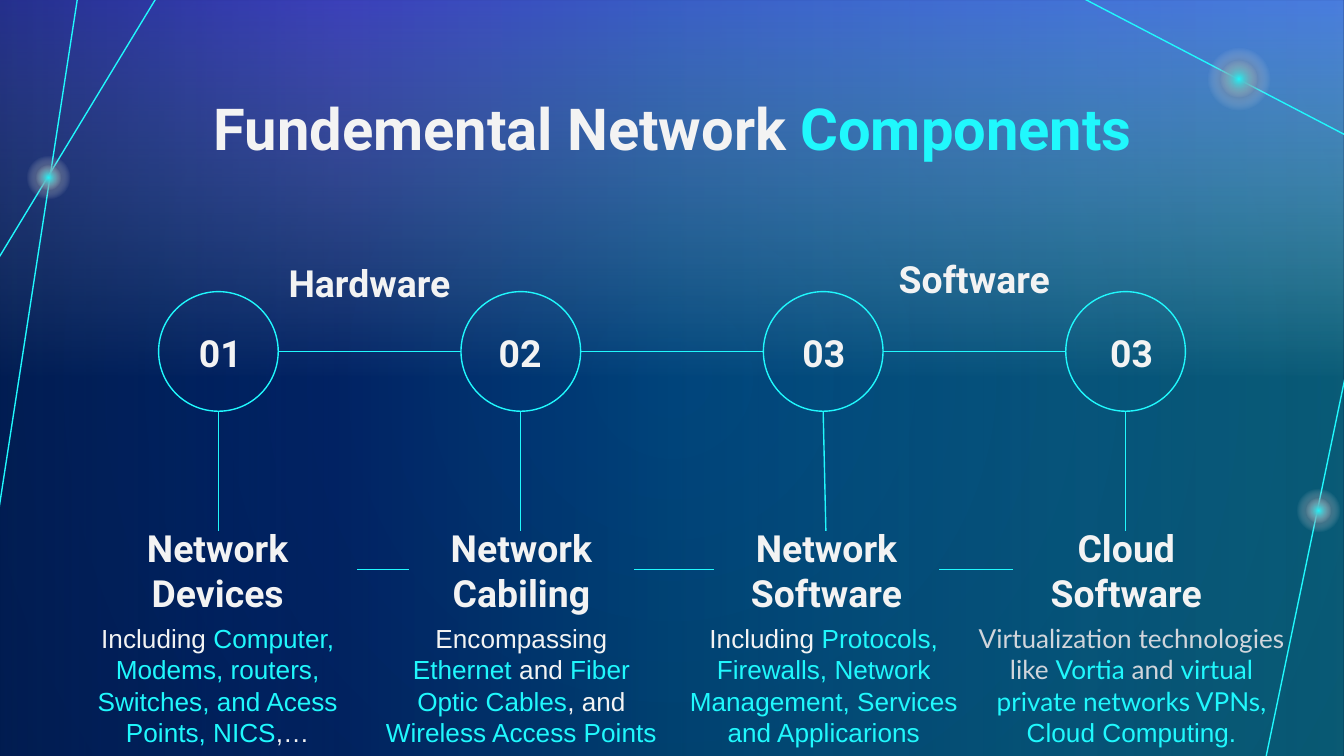
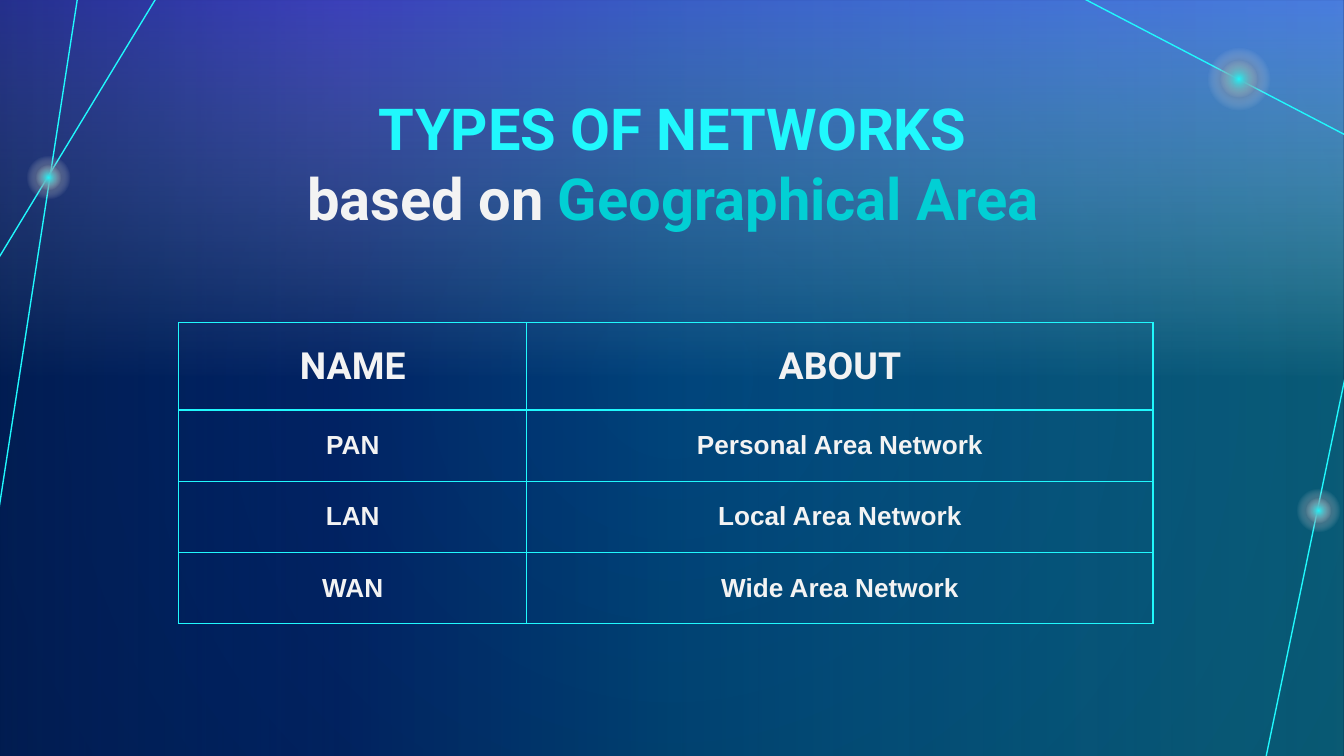
"""Build two slides on network components and network types."""
import pptx
import pptx.dml.color
import pptx.enum.shapes
import pptx.enum.text
import pptx.oxml
import pptx.oxml.ns
import pptx.util
from pptx.util import Inches

CYAN, WHITE, TEAL, GREY = "20F8FD", "F3F3F3", "02CFD4", "D1D5DB"
NAVY, DEEP = "012060", "00183A"
WIDTH = 10
HEIGHT = WIDTH * 9 / 16
LINE_WIDTH = 0.75
SHAPE = pptx.enum.shapes.MSO_SHAPE
TOP, MIDDLE = pptx.enum.text.MSO_ANCHOR.TOP, pptx.enum.text.MSO_ANCHOR.MIDDLE
CENTER = pptx.enum.text.PP_ALIGN.CENTER

TITLE = {"name": "Roboto", "size": pptx.util.Pt(31), "bold": True}
HEADING = {"name": "Roboto", "size": pptx.util.Pt(20), "bold": True}
BODY = {"name": "Arial", "size": pptx.util.Pt(14), "bold": False}
LATO_BODY = {**BODY, "name": "Lato"}
TABLE_BODY = {**BODY, "bold": True}
MARGINS = {f"margin_{side}": Inches(0.1) for side in ("left", "right", "top", "bottom")}

BACKDROP = [(0, NAVY, 100), (100, DEEP, 100)]
WASHES = [
    (270, [(0, "748BFF", 0), (50, WHITE, 0), (100, "7659FF", 77)]),
    (180, [(0, CYAN, 29), (50, "0182AA", 36), (75, "022E88", 35), (100, NAVY, 60)]),
]
RAYS = [
    (7.93, -0.08, 10.04, 1.02),
    (1.19, -0.06, -0.01, 1.92),
    (0.59, -0.1, -0.01, 3.8),
    (9.41, 5.68, 10.01, 2.8),
]
STARS = [(0.36, 1.32, 0.46, 0.27), (9.22, 0.59, 0.66, 0.39), (9.81, 3.8, 0.46, 0.27)]

COMPONENTS_TITLE = [("Fundemental Network ", WHITE), ("Components", CYAN)]
COMPONENTS = [
    {"number": "01", "number_left": 0.82, "name": "Network Devices", "stem_lean": 0,
     "name_box": (0.58, 2.08), "about_box": (0.58, 2.08),
     "about": [[("Including ", WHITE, BODY),
                ("Computer, Modems, routers, Switches, and Acess Points, NICS", CYAN, BODY),
                (",…", WHITE, BODY)]]},
    {"number": "02", "number_left": 3.05, "name": "Network Cabiling", "stem_lean": 0,
     "name_box": (3.04, 1.68), "about_box": (2.75, 2.26),
     "about": [[("Encompassing ", WHITE, BODY), ("Ethernet", CYAN, BODY),
                (" and ", WHITE, BODY), ("Fiber Optic Cables", CYAN, BODY),
                (", and ", WHITE, BODY), ("Wireless Access Points", CYAN, BODY)]]},
    {"number": "03", "number_left": 5.31, "name": "Network Software", "stem_lean": 0.02,
     "name_box": (5.31, 1.68), "about_box": (5.01, 2.24),
     "about": [[("Including ", WHITE, BODY),
                ("Protocols, Firewalls, Network Management, Services and Applicarions",
                 CYAN, BODY)]]},
    {"number": "03", "number_left": 7.6, "name": "Cloud Software", "stem_lean": 0,
     "name_box": (7.54, 1.68), "about_box": (7.17, 2.5),
     "about": [[("Virtualization technologies like ", GREY, LATO_BODY),
                ("Vortia", CYAN, LATO_BODY), (" and ", GREY, LATO_BODY),
                ("virtual private networks VPNs,", CYAN, LATO_BODY)],
               [("Cloud Computing.", CYAN, BODY)]]},
]
FAMILIES = [("Hardware", (1.95, 1.81, 1.6, 0.58)), ("Software", (6.46, 1.81, 1.58, 0.52))]
CIRCLE_LEFT, CIRCLE_TOP, CIRCLE_SIZE, CIRCLE_STEP = 1.18, 2.17, 0.89, 2.25
NAME_TOP, NAME_HEIGHT, ABOUT_HEIGHT = 3.95, 0.58, 0.95

TYPES_TITLE = [("TYPES OF NETWORKS", CYAN), ("\n", CYAN),
               ("based on ", WHITE), ("Geographical Area", TEAL)]
TYPES = [
    ("NAME", "ABOUT"),
    ("PAN", "Personal Area Network"),
    ("LAN", "Local Area Network"),
    ("WAN", "Wide Area Network"),
]
TYPES_LEFT, TYPES_TOP = 1.33, 2.4
TYPES_COLUMNS, TYPES_ROWS = (2.59, 4.66), (0.65, 0.53, 0.53, 0.53)


def rgb(value):
    return pptx.dml.color.RGBColor.from_string(value)


def assign(target, values):
    for key, value in values.items():
        setattr(target, key, value)


def set_gradient(fill, properties, stops, angle=None):
    fill.solid()
    marks = "".join(
        f'<a:gs pos="{at * 1000}"><a:srgbClr val="{color}">'
        f'<a:alpha val="{opacity * 1000}"/></a:srgbClr></a:gs>'
        for at, color, opacity in stops)
    if angle is None:
        course = ('<a:path path="circle"><a:fillToRect l="50000" t="50000" '
                  'r="50000" b="50000"/></a:path>')
    else:
        course = f'<a:lin ang="{angle * 60000}" scaled="0"/>'
    gradient = pptx.oxml.parse_xml(
        f'<a:gradFill {pptx.oxml.ns.nsdecls("a")} rotWithShape="1">'
        f'<a:gsLst>{marks}</a:gsLst>{course}</a:gradFill>')
    solid = properties.find(pptx.oxml.ns.qn("a:solidFill"))
    properties.replace(solid, gradient)


def add_outline(slide, kind, box):
    shape = slide.shapes.add_shape(kind, *map(Inches, box))
    shape.shadow.inherit = False
    shape.fill.background()
    shape.line.fill.background()
    return shape


def add_glow(slide, kind, box, stops, angle=None):
    shape = add_outline(slide, kind, box)
    set_gradient(shape.fill, shape.element.spPr, stops, angle)


def add_line(slide, *ends):
    line = slide.shapes.add_connector(
        pptx.enum.shapes.MSO_CONNECTOR.STRAIGHT, *map(Inches, ends))
    line.line.width = pptx.util.Pt(LINE_WIDTH)
    line.line.color.rgb = rgb(CYAN)
    line.element.spPr.append(
        pptx.oxml.parse_xml(f'<a:effectLst {pptx.oxml.ns.nsdecls("a")}/>'))


def write(frame, paragraphs):
    for index, runs in enumerate(paragraphs):
        paragraph = frame.add_paragraph() if index else frame.paragraphs[0]
        paragraph.alignment = CENTER
        for text, color, style in runs:
            if text == "\n":
                paragraph.add_line_break()
                continue
            run = paragraph.add_run()
            run.text = text
            assign(run.font, style)
            run.font.color.rgb = rgb(color)


def add_text(slide, box, paragraphs, anchor=MIDDLE):
    frame = slide.shapes.add_textbox(*map(Inches, box)).text_frame
    assign(frame, {**MARGINS, "word_wrap": True, "vertical_anchor": anchor})
    write(frame, paragraphs)


def add_heading(slide, box, text):
    add_text(slide, box, [[(text, WHITE, HEADING)]])


def start_slide(deck, title):
    slide = deck.slides.add_slide(deck.slide_layouts[6])
    backdrop = slide.background.fill
    backdrop.solid()
    set_gradient(backdrop, slide.element.find(".//" + pptx.oxml.ns.qn("p:bgPr")), BACKDROP)
    for angle, stops in WASHES:
        add_glow(slide, SHAPE.RECTANGLE, (0, 0, WIDTH, HEIGHT), stops, angle)
    for ray in RAYS:
        add_line(slide, *ray)
    for x, y, halo, core in STARS:
        for size, color in ((halo, DEEP), (core, CYAN)):
            add_glow(slide, SHAPE.OVAL, (x - size / 2, y - size / 2, size, size),
                     [(0, color, 100), (50, WHITE, 0), (100, WHITE, 0)])
    add_text(slide, (0.79, 0.59, 8.43, 0.69),
             [[(text, color, TITLE) for text, color in title]], TOP)
    return slide


def build_components(deck):
    slide = start_slide(deck, COMPONENTS_TITLE)
    middle = CIRCLE_TOP + CIRCLE_SIZE / 2
    for index, part in enumerate(COMPONENTS):
        left = CIRCLE_LEFT + index * CIRCLE_STEP
        center = left + CIRCLE_SIZE / 2
        circle = add_outline(slide, SHAPE.OVAL, (left, CIRCLE_TOP, CIRCLE_SIZE, CIRCLE_SIZE))
        circle.line.color.rgb = rgb(CYAN)
        circle.line.width = pptx.util.Pt(LINE_WIDTH)
        name_left, name_width = part["name_box"]
        about_left, about_width = part["about_box"]
        add_heading(slide, (name_left, NAME_TOP, name_width, NAME_HEIGHT), part["name"])
        add_text(slide, (about_left, NAME_TOP + NAME_HEIGHT, about_width, ABOUT_HEIGHT),
                 part["about"], TOP)
        add_heading(slide, (part["number_left"], 2.33, 1.64, 0.58), part["number"])
        add_line(slide, center, CIRCLE_TOP + CIRCLE_SIZE,
                 center + part["stem_lean"], NAME_TOP)
        if index + 1 < len(COMPONENTS):
            add_line(slide, left + CIRCLE_SIZE, middle, left + CIRCLE_STEP, middle)
            name_middle = NAME_TOP + NAME_HEIGHT / 2
            add_line(slide, name_left + name_width, name_middle,
                     COMPONENTS[index + 1]["name_box"][0], name_middle)
    for family, box in FAMILIES:
        add_heading(slide, box, family)


def add_borders(cell):
    properties = cell._tc.get_or_add_tcPr()
    for index, side in enumerate("LRTB"):
        properties.insert(index, pptx.oxml.parse_xml(
            f'<a:ln{side} {pptx.oxml.ns.nsdecls("a")} w="{pptx.util.Pt(LINE_WIDTH)}">'
            f'<a:solidFill><a:srgbClr val="{CYAN}"/></a:solidFill></a:ln{side}>'))


def build_types(deck):
    slide = start_slide(deck, TYPES_TITLE)
    table = slide.shapes.add_table(
        len(TYPES_ROWS), len(TYPES_COLUMNS), Inches(TYPES_LEFT), Inches(TYPES_TOP),
        Inches(sum(TYPES_COLUMNS)), Inches(sum(TYPES_ROWS))).table
    assign(table, {"first_row": False, "horz_banding": False})
    for column, width in zip(table.columns, TYPES_COLUMNS):
        column.width = Inches(width)
    for row_index, (row, height) in enumerate(zip(table.rows, TYPES_ROWS)):
        row.height = Inches(height)
        style = TABLE_BODY if row_index else HEADING
        for cell, text in zip(row.cells, TYPES[row_index]):
            assign(cell, {**MARGINS, "vertical_anchor": MIDDLE})
            cell.fill.background()
            add_borders(cell)
            write(cell.text_frame, [[(text, WHITE, style)]])


deck = pptx.Presentation()
assign(deck, {"slide_width": Inches(WIDTH), "slide_height": Inches(HEIGHT)})
build_components(deck)
build_types(deck)
deck.save("out.pptx")
